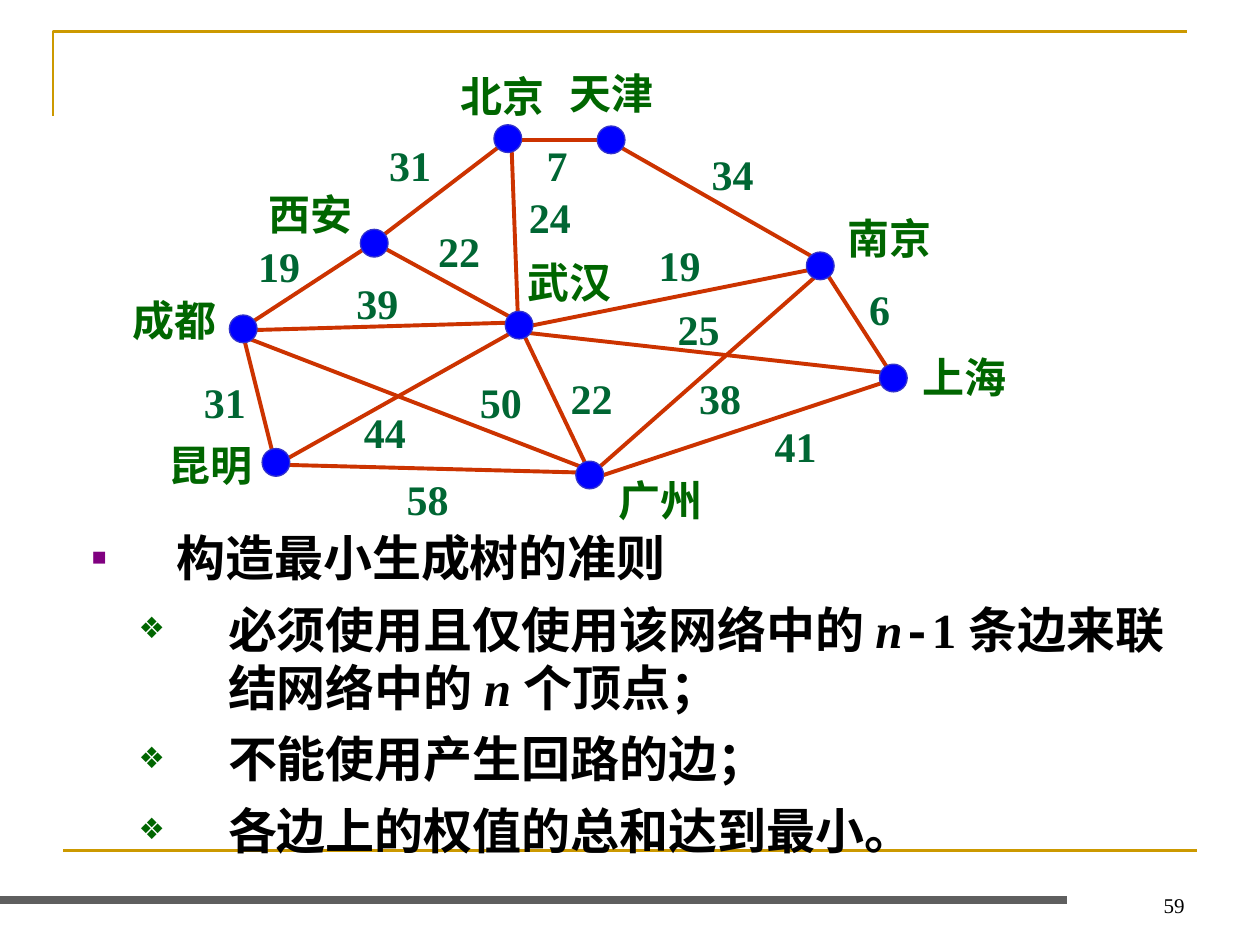
import dataclasses

import lxml.etree
import pptx
import pptx.dml.color
import pptx.enum.shapes
import pptx.enum.text
import pptx.oxml
import pptx.oxml.ns
import pptx.util

PX = 9144  # EMU per px, 100 px to the inch


@dataclasses.dataclass(frozen=True)
class Theme:
    gold: str = "CC9900"
    gray: str = "5F5F5F"
    edge: str = "CC3300"
    node: str = "0000FF"
    node_rim: str = "3333CC"
    city: str = "006600"
    weight: str = "006633"
    ink: str = "000000"
    square: str = "800080"
    serif: str = "Times New Roman"
    sans: str = "Arial"
    mono: str = "Courier New"
    body_size: int = 28
    label_size: int = 24
    number_size: int = 12


def rgb(value):
    return pptx.dml.color.RGBColor.from_string(value)


def assign(target, values):
    for name, value in values.items():
        setattr(target, name, value)


class SlideBuilder:
    def __init__(self, slide, theme):
        self.slide, self.theme = slide, theme
        self.shapes = slide.shapes

    def stroke(self, shape, color, width):
        shape.line.color.rgb = rgb(color)
        shape.line.width = pptx.util.Pt(width)

    def line(self, x1, y1, x2, y2, color, width):
        connector = self.shapes.add_connector(
            pptx.enum.shapes.MSO_CONNECTOR.STRAIGHT,
            x1 * PX, y1 * PX, x2 * PX, y2 * PX)
        self.stroke(connector, color, width)
        lxml.etree.SubElement(connector._element.spPr,
                              pptx.oxml.ns.qn("a:effectLst"))

    def bracket(self, points, color, width):
        pen = self.shapes.build_freeform(*points[0], scale=PX)
        pen.add_line_segments(points[1:], close=False)
        corner = pen.convert_to_shape()
        corner.fill.background()
        corner.shadow.inherit = False
        self.stroke(corner, color, width)

    def dot(self, x, y, size):
        node = self.shapes.add_shape(
            pptx.enum.shapes.MSO_SHAPE.OVAL,
            x * PX, y * PX, size * PX, size * PX)
        node.fill.solid()
        node.fill.fore_color.rgb = rgb(self.theme.node)
        node.shadow.inherit = False
        self.stroke(node, self.theme.node_rim, 0.75)

    def run(self, paragraph, text, color, **font):
        run = paragraph.add_run()
        run.text = text
        assign(run.font, font)
        run.font.color.rgb = rgb(color)

    def label(self, text, x, y, width, color):
        box = self.shapes.add_textbox(x * PX, y * PX, width * PX, 50 * PX)
        assign(box.text_frame, {
            "word_wrap": False,
            "auto_size": pptx.enum.text.MSO_AUTO_SIZE.SHAPE_TO_FIT_TEXT})
        self.run(box.text_frame.paragraphs[0], text, color, bold=True,
                 name=self.theme.serif, size=pptx.util.Pt(self.theme.label_size))

    def page_number(self, text, x, y, width, height):
        box = self.shapes.add_textbox(x * PX, y * PX, width * PX, height * PX)
        assign(box.text_frame, {
            "word_wrap": True,
            "vertical_anchor": pptx.enum.text.MSO_ANCHOR.BOTTOM})
        paragraph = box.text_frame.paragraphs[0]
        paragraph.alignment = pptx.enum.text.PP_ALIGN.RIGHT
        self.run(paragraph, text, self.theme.ink, name=self.theme.serif,
                 size=pptx.util.Pt(self.theme.number_size))

    def bullet(self, paragraph, char, color, percent, left, hanging):
        assign(paragraph, {"space_before": pptx.util.Pt(7),
                           "alignment": pptx.enum.text.PP_ALIGN.LEFT})
        props = paragraph._p.get_or_add_pPr()
        props.set("marL", str(left * PX))
        props.set("indent", str(-hanging * PX))
        ns = pptx.oxml.ns.nsdecls("a")
        for xml in (f'<a:buClr {ns}><a:srgbClr val="{color}"/></a:buClr>',
                    f'<a:buSzPct {ns} val="{percent * 1000}"/>',
                    f'<a:buFont {ns} typeface="{self.theme.sans}"/>',
                    f'<a:buChar {ns} char="{char}"/>'):
            props.append(pptx.oxml.parse_xml(xml))

    def criteria(self, body, items, x, y, width, height):
        assign(body, {"left": x * PX, "top": y * PX,
                      "width": width * PX, "height": height * PX})
        frame = body.text_frame
        frame.auto_size = pptx.enum.text.MSO_AUTO_SIZE.NONE
        styles = [("■", self.theme.square, 50, 67, 67),
                  ("❖", self.theme.city, 60, 108, 71)]
        for index, (level, pieces) in enumerate(items):
            paragraph = frame.add_paragraph() if index else frame.paragraphs[0]
            paragraph.level = level
            self.bullet(paragraph, *styles[level])
            for text, font, italic in pieces:
                self.run(paragraph, text, self.theme.ink, bold=True,
                         italic=italic, name=font,
                         size=pptx.util.Pt(self.theme.body_size))


# City: dot corner, name corner
CITIES = {
    "武汉": (401, 247, 409, 199),
    "昆明": (208, 356, 124, 344),
    "南京": (640, 200, 663, 164),
    "北京": (392, 99, 356, 51),
    "上海": (698, 289, 722, 274),
    "成都": (182, 250, 95, 229),
    "西安": (286, 182, 203, 145),
    "广州": (457, 366, 481, 372),
    "天津": (474, 100, 442, 49),
}

# Road: both ends, weight, weight corner
ROADS = [
    ((414, 262, 468, 375), "22", (443, 291)),
    ((201, 255, 293, 195), "19", (195, 186)),
    ((305, 186, 398, 115), "31", (299, 106)),
    ((217, 362, 192, 262), "31", (152, 294)),
    ((228, 364, 406, 264), "44", (279, 318)),
    ((406, 116, 411, 251), "24", (410, 147)),
    ((419, 259, 644, 214), "19", (513, 185)),
    ((472, 374, 649, 218), "38", (545, 291)),
    ((656, 217, 705, 293), "6", (680, 220)),
    ((476, 378, 706, 302), "41", (605, 329)),
    ((228, 369, 460, 375), "58", (313, 371)),
    ((201, 262, 408, 256), "39", (273, 215)),
    ((305, 197, 413, 256), "22", (338, 174)),
    ((198, 269, 465, 372), "50", (371, 294)),
    ((417, 264, 703, 296), "25", (528, 236)),
    ((413, 111, 474, 111), "7", (424, 106)),
    ((491, 116, 647, 205), "34", (555, 113)),
]


def main():
    theme = Theme()
    deck = pptx.Presentation()
    assign(deck, {"slide_width": 1000 * PX, "slide_height": 750 * PX})
    slide = deck.slides.add_slide(deck.slide_layouts[1])
    heading = slide.shapes.title._element
    heading.getparent().remove(heading)
    builder = SlideBuilder(slide, theme)

    # Frame and page number
    builder.bracket([(42, 92), (42, 25), (942, 25)], theme.gold, 1.5)
    builder.line(50, 675, 950, 675, theme.gold, 1.5)
    builder.line(0, 714, 847, 714, theme.gray, 4.5)
    builder.page_number("59", 717, 683, 233, 50)

    # Spanning tree criteria
    serif = theme.serif
    body = slide.placeholders[1]
    slide.shapes._spTree.append(body._element)
    builder.criteria(body, [
        (0, [("构造最小生成树的准则", theme.sans, False)]),
        (1, [("必须使用且仅使用该网络中的 ", serif, False),
             ("n", serif, True),
             ("-", theme.mono, False),
             ("1 条边来联结网络中的 ", serif, False),
             ("n ", serif, True),
             ("个顶点；", serif, False)]),
        (1, [("不能使用产生回路的边；", serif, False)]),
        (1, [("各边上的权值的总和达到最小。", serif, False)]),
    ], 63, 414, 883, 304)

    # Weighted city network
    builder.shapes = slide.shapes.add_group_shape().shapes
    for ends, _, _ in ROADS:
        builder.line(*ends, theme.edge, 2.25)
    for dot_x, dot_y, _, _ in CITIES.values():
        builder.dot(dot_x, dot_y, 22)
    for city, (_, _, name_x, name_y) in CITIES.items():
        builder.label(city, name_x, name_y, 88, theme.city)
    for _, weight, corner in ROADS:
        builder.label(weight, *corner, 20 + 17 * len(weight), theme.weight)

    deck.save("out.pptx")


if __name__ == "__main__":
    main()
